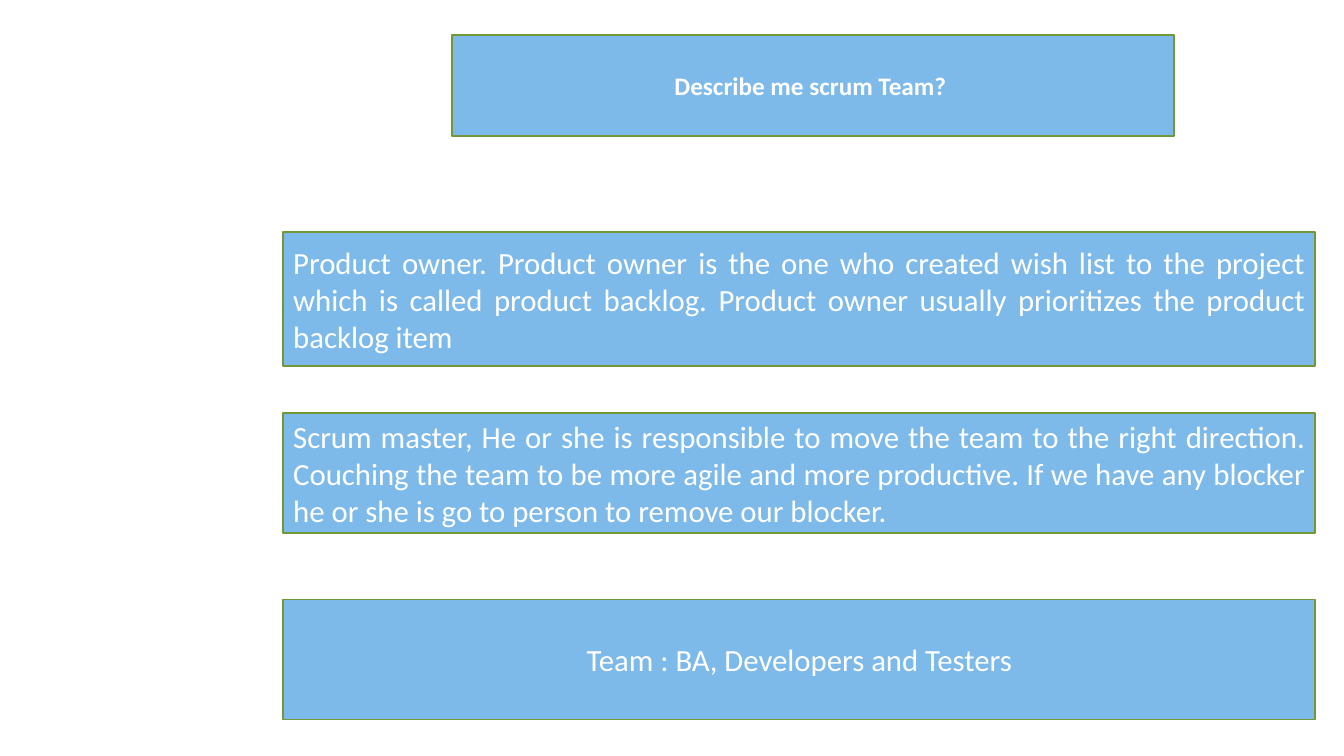
from pptx import Presentation
from pptx.dml.color import RGBColor
from pptx.enum import shapes, text
from pptx.util import Cm, Pt

CENTER = text.PP_ALIGN.CENTER
JUSTIFY = text.PP_ALIGN.JUSTIFY

ROLES = [  # top, height, alignment, wording
    (5.84, 3.38, JUSTIFY,
     "Product owner. Product owner is the one who created wish list to the "
     "project which is called product backlog. Product owner usually "
     "prioritizes the product backlog item"),
    (10.41, 3.02, JUSTIFY,
     "Scrum master, He or she is responsible to move the team to the right "
     "direction. Couching the team to be more agile and more productive. "
     "If we have any blocker he or she is go to person to remove our blocker."),
    (15.11, 3.02, CENTER, "Team : BA, Developers and Testers"),
]


def paint(color, value):
    color.rgb = RGBColor.from_string(value)


def panel(slide, box, words, size, align, bold=False):
    shape = slide.shapes.add_shape(
        shapes.MSO_SHAPE.RECTANGLE, *[Cm(n) for n in box])
    shape.shadow.inherit = False
    shape.fill.solid()
    paint(shape.fill.fore_color, "7DBAE9")
    paint(shape.line.color, "719738")
    shape.line.width = Pt(1.25)

    frame = shape.text_frame
    frame.word_wrap = True
    frame.vertical_anchor = text.MSO_ANCHOR.MIDDLE
    para = frame.paragraphs[0]
    para.text = words
    para.alignment = align
    para.font.name = "Calibri"
    para.font.size = Pt(size)
    para.font.bold = bold
    paint(para.font.color, "FFFFFF")


def title(slide, box):
    panel(slide, box, "Describe me scrum Team? ", 18, CENTER, bold=True)


def roles(slide, left, width):
    for top, height, align, words in ROLES:
        panel(slide, (left, top, width, height), words, 22, align)


def main():
    deck = Presentation()
    deck.slide_width, deck.slide_height = Cm(33.87), Cm(19.05)
    slide = deck.slides.add_slide(deck.slide_layouts[6])

    # Question at the top
    title(slide, (11.4, 0.89, 18.19, 2.54))
    # Roles of the team below it
    roles(slide, 7.14, 26.01)

    deck.save("out.pptx")


if __name__ == "__main__":
    main()
